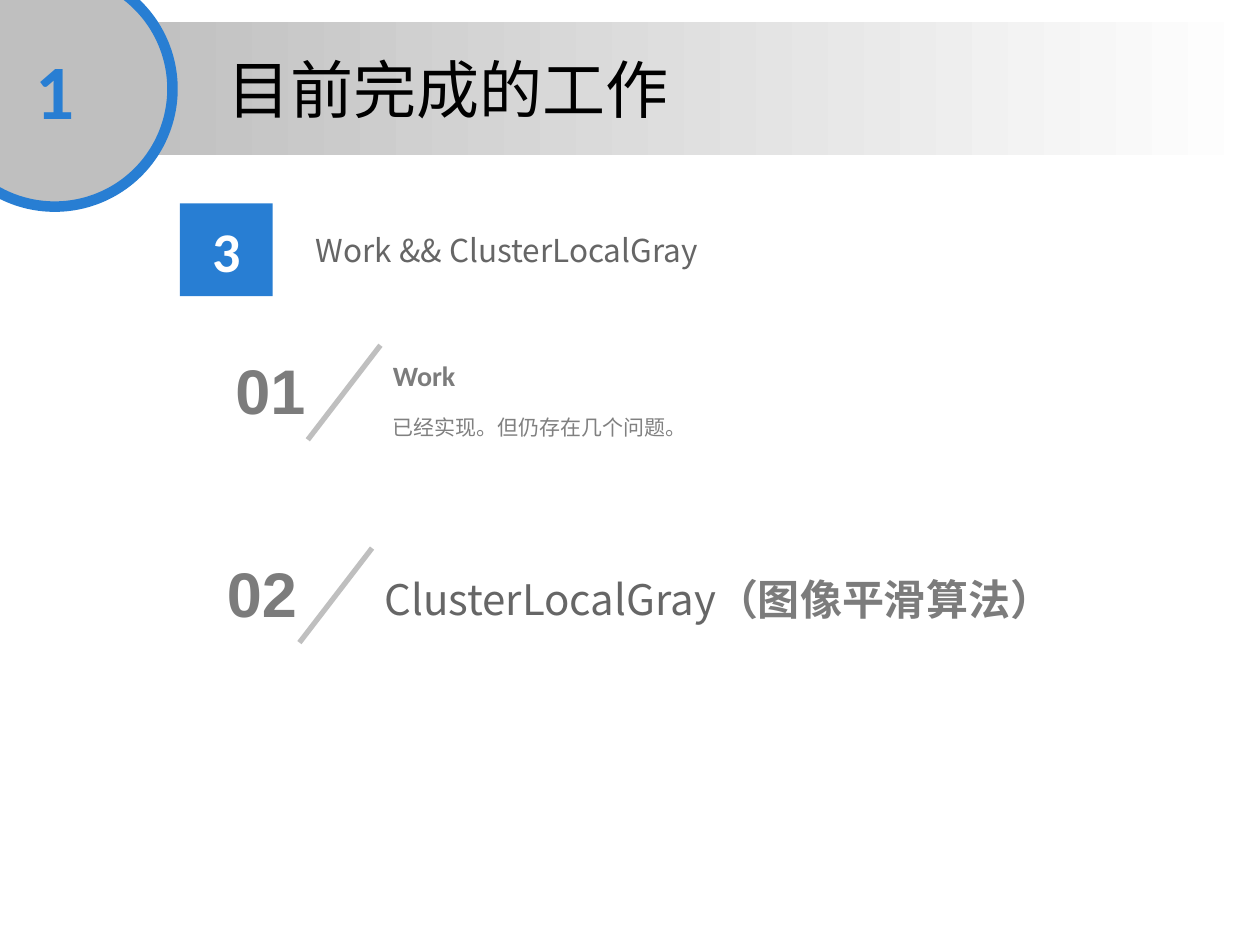
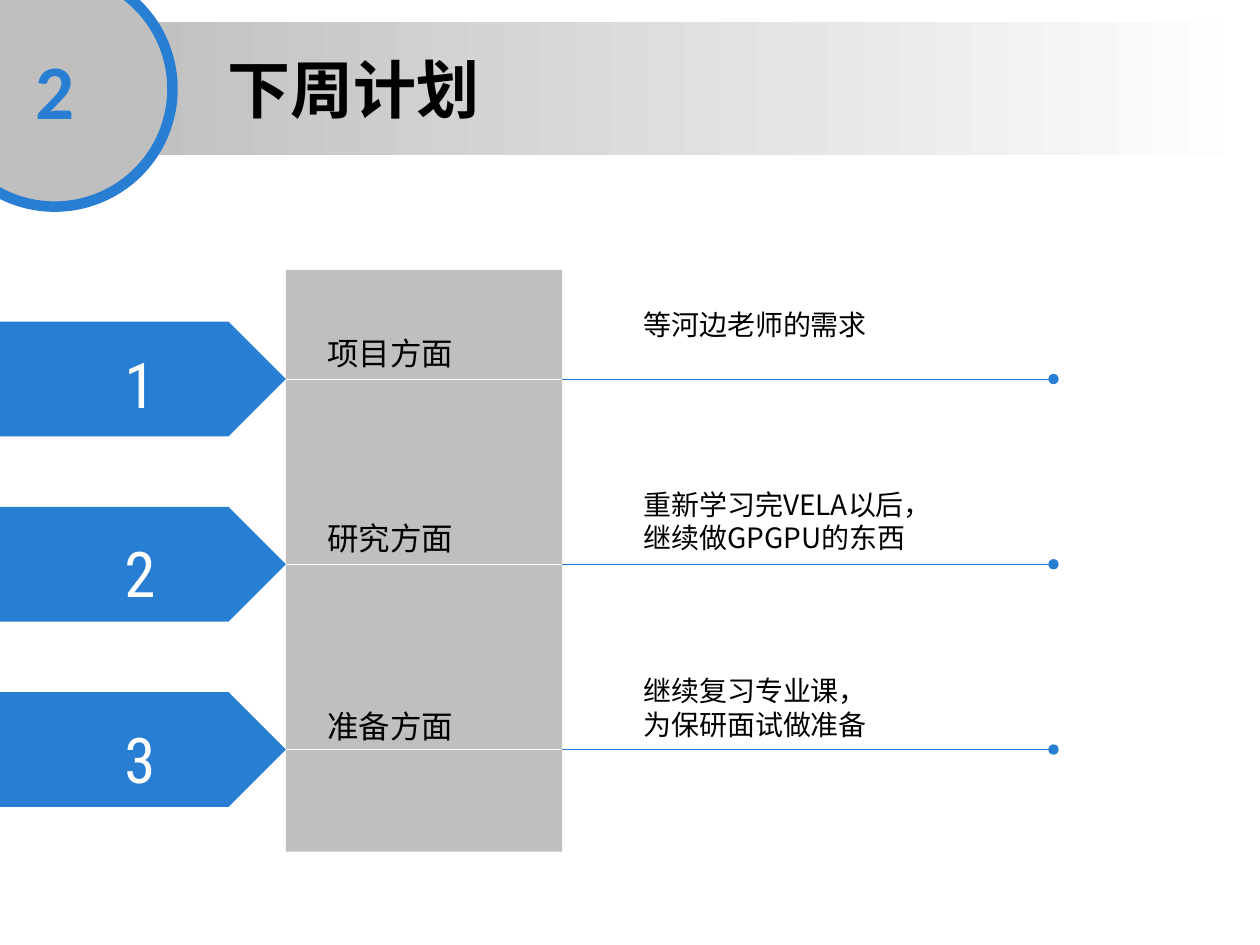
"""Build two progress-report slides: finished work and next week's plan."""
from lxml.etree import SubElement
from pptx import Presentation
from pptx.dml.color import RGBColor
from pptx.enum.shapes import MSO_CONNECTOR as CONNECTOR, MSO_SHAPE as SHAPE
from pptx.enum.text import MSO_ANCHOR as ANCHOR, MSO_AUTO_SIZE as AUTO_SIZE, PP_ALIGN as ALIGN
from pptx.oxml.ns import qn
from pptx.util import Pt

color = RGBColor.from_string
BLUE, SILVER, WHITE, BLACK = "287ED3", "BFBFBF", "FFFFFF", "000000"
GRAY, DARK_GRAY, BODY_GRAY = "7C7C7C", "666666", "808080"
CJK = "Noto Sans CJK SC"

TITLE = {"name": CJK, "size": Pt(36), "color": BLACK}
BADGE = {"name": "Calibri", "size": Pt(44), "color": BLUE, "bold": True}
SECTION = {"name": "Calibri", "size": Pt(32), "color": WHITE, "bold": True}
SUBTITLE = {"name": CJK, "size": Pt(18), "color": DARK_GRAY}
ITEM_NUMBER = {"name": "Arial", "size": Pt(36), "color": GRAY, "bold": True}
HEADING = {"name": "Calibri", "size": Pt(16), "color": GRAY, "bold": True}
BODY = {"name": CJK, "size": Pt(12), "color": BODY_GRAY}
ALGORITHM = {"name": CJK, "size": Pt(24), "color": DARK_GRAY}
ALGORITHM_NOTE = HEADING | {"size": Pt(24)}
ARROW_NUMBER = {"name": "Roboto Condensed", "size": Pt(36), "color": WHITE}
LABEL = {"name": "DejaVu Sans", "size": Pt(18), "color": BLACK}
PLAN = {"name": CJK, "size": Pt(16), "color": BLACK}


def add_block(slide, box, lines=(), preset=None, fill=None, wrap=True, spacing=None):
    """Add a preset shape or text box; each line is a list of (text, format) runs."""
    box = [Pt(length) for length in box]
    if preset is None:
        shape = slide.shapes.add_textbox(*box)
        shape.text_frame.auto_size = AUTO_SIZE.SHAPE_TO_FIT_TEXT
    else:
        shape = slide.shapes.add_shape(preset, *box)
        shape.shadow.inherit = False
        shape.line.fill.background()
        shape.text_frame.vertical_anchor = ANCHOR.MIDDLE
    if fill:
        shape.fill.solid()
        shape.fill.fore_color.rgb = color(fill)
    frame = shape.text_frame
    frame.word_wrap = wrap
    for index, runs in enumerate(lines):
        paragraph = frame.add_paragraph() if index else frame.paragraphs[0]
        paragraph.alignment = ALIGN.CENTER if preset else ALIGN.LEFT
        paragraph.line_spacing = spacing
        for text, text_format in runs:
            run = paragraph.add_run()
            run.text = text
            for key, value in text_format.items():
                if key == "color":
                    run.font.color.rgb = color(value)
                else:
                    setattr(run.font, key, value)
            SubElement(run.font._element, qn("a:ea"), typeface=CJK)
    return shape


def add_line(slide, points, line_color, width, tail=None):
    """Add a straight line with an optional end marker."""
    line = slide.shapes.add_connector(CONNECTOR.STRAIGHT, *[Pt(value) for value in points])
    line.line.color.rgb = color(line_color)
    line.line.width = Pt(width)
    if tail:
        SubElement(line.line._get_or_add_ln(), qn("a:tailEnd"), type=tail)
    SubElement(line._element.spPr, qn("a:effectLst"))


presentation = Presentation()
presentation.slide_width, presentation.slide_height = Pt(720), Pt(540)

slides = []
for number, title, bold in (("1", "目前完成的工作", False), ("2", "下周计划", True)):
    slide = presentation.slides.add_slide(presentation.slide_layouts[6])
    band = add_block(slide, (62, 12.8, 658, 75.6), preset=SHAPE.RECTANGLE)
    band.fill.gradient()
    band.fill.gradient_angle = 0
    for stop, stop_color in zip(band.fill.gradient_stops, (SILVER, WHITE)):
        stop.color.rgb = color(stop_color)
    badge = add_block(slide, (-36, -16.5, 134.6, 134.6), [[(number, BADGE)]], SHAPE.OVAL, SILVER)
    badge.line.color.rgb = color(BLUE)
    badge.line.width = Pt(6)
    add_block(slide, (123, 25.2, 446, 51), [[(title, TITLE | {"bold": bold})]])
    slides.append(slide)
work_slide, plan_slide = slides

add_block(work_slide, (102.8, 116.2, 53, 53), [[("3", SECTION)]], SHAPE.RECTANGLE, BLUE)
add_block(work_slide, (173.5, 128.2, 285, 29), [[("Work && ClusterLocalGray", SUBTITLE)]])

for number, left, top in (("01", 217.4, 197.3), ("02", 212.6, 313.2)):
    add_block(work_slide, (left - 90, top, 55, 51), [[(number, ITEM_NUMBER)]], wrap=False)
    add_line(work_slide, (left, top, left - 41.5, top + 54), SILVER, 3)
add_block(work_slide, (217.4, 229, 373, 26), [[("已经实现。但仍存在几个问题。", BODY)]], spacing=1.3)
add_block(work_slide, (217.4, 201.6, 51, 26.6), [[("Work", HEADING)]], wrap=False)
algorithm_runs = [("ClusterLocalGray", ALGORITHM), ("（图像平滑算法）", ALGORITHM_NOTE)]
add_block(work_slide, (212.6, 324, 403, 36), [algorithm_runs], wrap=False)

COLUMN_LEFT, COLUMN_RIGHT, LINE_END = 163.4, 321.2, 602
FIRST_ROW, ROW_PITCH, ARROW_HEIGHT = 216.6, 105.85, 65.6
add_block(plan_slide, (COLUMN_LEFT, 154.2, COLUMN_RIGHT - COLUMN_LEFT, 332.5),
          preset=SHAPE.RECTANGLE, fill=SILVER)
plans = (
    ("1", 28, 193.7, "项目方面", 187.2, 172, 144, ["等河边老师的需求"]),
    ("2", 33, 301.7, "研究方面", 293, 275, 190, ["重新学习完VELA以后，", "继续做GPGPU的东西"]),
    ("3", 34, 408.2, "准备方面", 400.3, 381.6, 144, ["继续复习专业课，", "为保研面试做准备"]),
)
for row, plan in enumerate(plans):
    number, number_width, number_top, label, label_top, plan_top, plan_width, texts = plan
    middle = FIRST_ROW + row * ROW_PITCH
    add_line(plan_slide, (COLUMN_LEFT, middle, COLUMN_RIGHT, middle), WHITE, 0.5)
    add_block(plan_slide, (180, label_top, 87, 29), [[(label, LABEL)]], wrap=False)
    add_block(plan_slide, (0, middle - ARROW_HEIGHT / 2, COLUMN_LEFT, ARROW_HEIGHT),
              preset=SHAPE.PENTAGON, fill=BLUE)
    add_block(plan_slide, (64, number_top, number_width, 51), [[(number, ARROW_NUMBER)]], wrap=False)
    add_line(plan_slide, (COLUMN_RIGHT, middle, LINE_END, middle), BLUE, 0.5, "oval")
    add_block(plan_slide, (360.7, plan_top, plan_width, 26.6 if len(texts) == 1 else 46),
              [[(text, PLAN)] for text in texts], wrap=False)

presentation.save("out.pptx")
